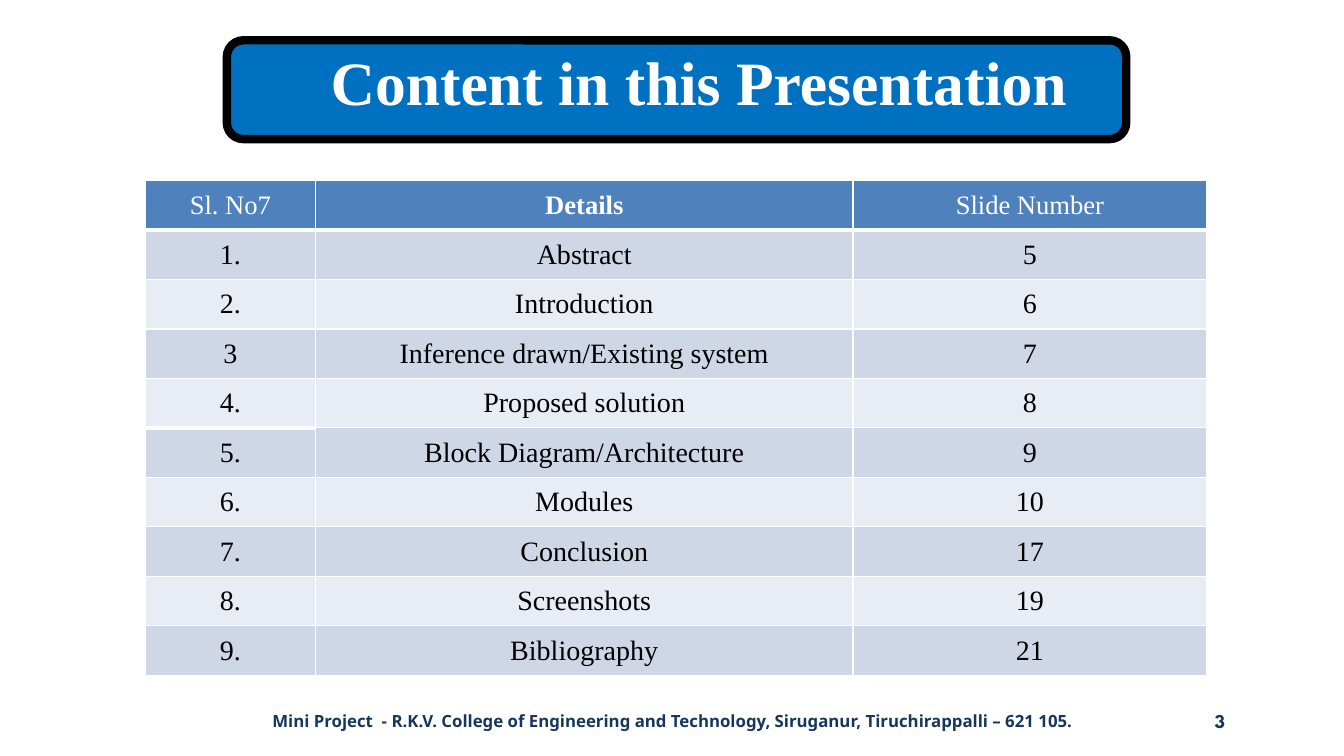
import pptx
import pptx.dml.color
import pptx.enum.shapes
import pptx.enum.text
import pptx.oxml
import pptx.oxml.ns
import pptx.util
from pptx.util import Inches

SERIF = "Times New Roman"
WHITE, BLACK, NAVY = "FFFFFF", "000000", "17365D"
TITLE_BLUE, HEADER_BLUE = "0070C0", "4F81BD"
BANDS = ("CFD7E7", "E8ECF4")
CENTER = pptx.enum.text.PP_ALIGN.CENTER
RIGHT = pptx.enum.text.PP_ALIGN.RIGHT
MIDDLE = pptx.enum.text.MSO_ANCHOR.MIDDLE

COLUMN_WIDTHS = (1.69, 5.33, 3.51)
ROW_HEIGHT = 0.491
CONTENTS = (
    ("Sl. No7", "Details", "Slide Number"),
    ("1.", "Abstract", "5"),
    ("2.", "Introduction", "6"),
    ("3", "Inference drawn/Existing system", "7"),
    ("4.", "Proposed solution", "8"),
    ("5.", "Block Diagram/Architecture", "9"),
    ("6.", "Modules", "10"),
    ("7.", "Conclusion", "17"),
    ("8.", "Screenshots", "19"),
    ("9.", "Bibliography", "21"),
)
HEAVY_RULES = {(0, 0), (0, 1), (0, 2), (4, 0)}


def set_color(color_owner, value):
    """Give a fill or font the colour of a hex string."""
    if hasattr(color_owner, "solid"):
        color_owner.solid()
        color_owner = color_owner.fore_color
    else:
        color_owner = color_owner.color
    color_owner.rgb = pptx.dml.color.RGBColor.from_string(value)


def write_text(text_frame, text, font_name, size, color, bold=False, align=CENTER):
    """Write one formatted paragraph into a text frame."""
    text_frame.text = text
    paragraph = text_frame.paragraphs[0]
    paragraph.alignment = align
    font = paragraph.runs[0].font
    font.name = font_name
    font.size = pptx.util.Pt(size)
    font.bold = bold
    set_color(font, color)
    return paragraph


def add_text(slide, box, text, font_name, size, color, align=CENTER):
    """Add a bold, vertically centred text box."""
    text_frame = slide.shapes.add_textbox(*map(Inches, box)).text_frame
    text_frame.word_wrap = True
    text_frame.vertical_anchor = MIDDLE
    write_text(text_frame, text, font_name, size, color, True, align)
    return text_frame


def add_title(slide):
    """Add the framed title banner."""
    banner = slide.shapes.add_shape(
        pptx.enum.shapes.MSO_SHAPE.ROUNDED_RECTANGLE,
        Inches(2.25), Inches(0.4), Inches(8.92), Inches(0.98))
    banner.shadow.inherit = False
    set_color(banner.fill, TITLE_BLUE)
    set_color(banner.line.fill, BLACK)
    banner.line.width = pptx.util.Pt(6)
    text_frame = add_text(slide, (2.31, 0.36, 8.8, 0.98),
                          "Content in this Presentation", SERIF, 44, WHITE)
    text_frame.margin_left = Inches(0.65)
    text_frame.margin_right = Inches(0.2)
    text_frame.paragraphs[0].line_spacing = 0.9


def set_borders(cell, top, bottom):
    """Draw white cell borders with the given top and bottom widths in points."""
    properties = cell._tc.get_or_add_tcPr()
    sides = (("lnL", 1), ("lnR", 1), ("lnT", top), ("lnB", bottom))
    for index, (side, width) in enumerate(sides):
        properties.insert(index, pptx.oxml.parse_xml(
            f'<a:{side} {pptx.oxml.ns.nsdecls("a")} w="{pptx.util.Pt(width)}">'
            f'<a:solidFill><a:srgbClr val="{WHITE}"/></a:solidFill></a:{side}>'))


def add_contents_table(slide):
    """Add the banded table of contents."""
    table = slide.shapes.add_table(
        len(CONTENTS), len(COLUMN_WIDTHS), Inches(1.44), Inches(1.79),
        Inches(sum(COLUMN_WIDTHS)), Inches(ROW_HEIGHT * len(CONTENTS))).table
    for column, width in zip(table.columns, COLUMN_WIDTHS):
        column.width = Inches(width)
    for row_index, entries in enumerate(CONTENTS):
        table.rows[row_index].height = Inches(ROW_HEIGHT)
        header = row_index == 0
        fill = HEADER_BLUE if header else BANDS[(row_index - 1) % 2]
        for column_index, text in enumerate(entries):
            cell = table.cell(row_index, column_index)
            cell.vertical_anchor = MIDDLE
            write_text(cell.text_frame, text, SERIF, 19 if header else 20,
                       WHITE if header else BLACK, text == "Details")
            set_color(cell.fill, fill)
            top = 3 if (row_index - 1, column_index) in HEAVY_RULES else 1
            bottom = 3 if (row_index, column_index) in HEAVY_RULES else 1
            set_borders(cell, top, bottom)


def main():
    """Build the contents slide and save it."""
    presentation = pptx.Presentation()
    presentation.slide_width = Inches(13.33)
    presentation.slide_height = Inches(7.5)
    slide = presentation.slides.add_slide(presentation.slide_layouts[6])
    add_title(slide)
    add_contents_table(slide)
    add_text(slide, (2.21, 6.95, 8.92, 0.4),
             "Mini Project  - R.K.V. College of Engineering and Technology, "
             "Siruganur, Tiruchirappalli – 621 105.", "Noto Sans", 12, NAVY)
    add_text(slide, (9.56, 6.95, 2.69, 0.4), "3", "League Spartan", 14, NAVY, RIGHT)
    presentation.save("out.pptx")


if __name__ == "__main__":
    main()
